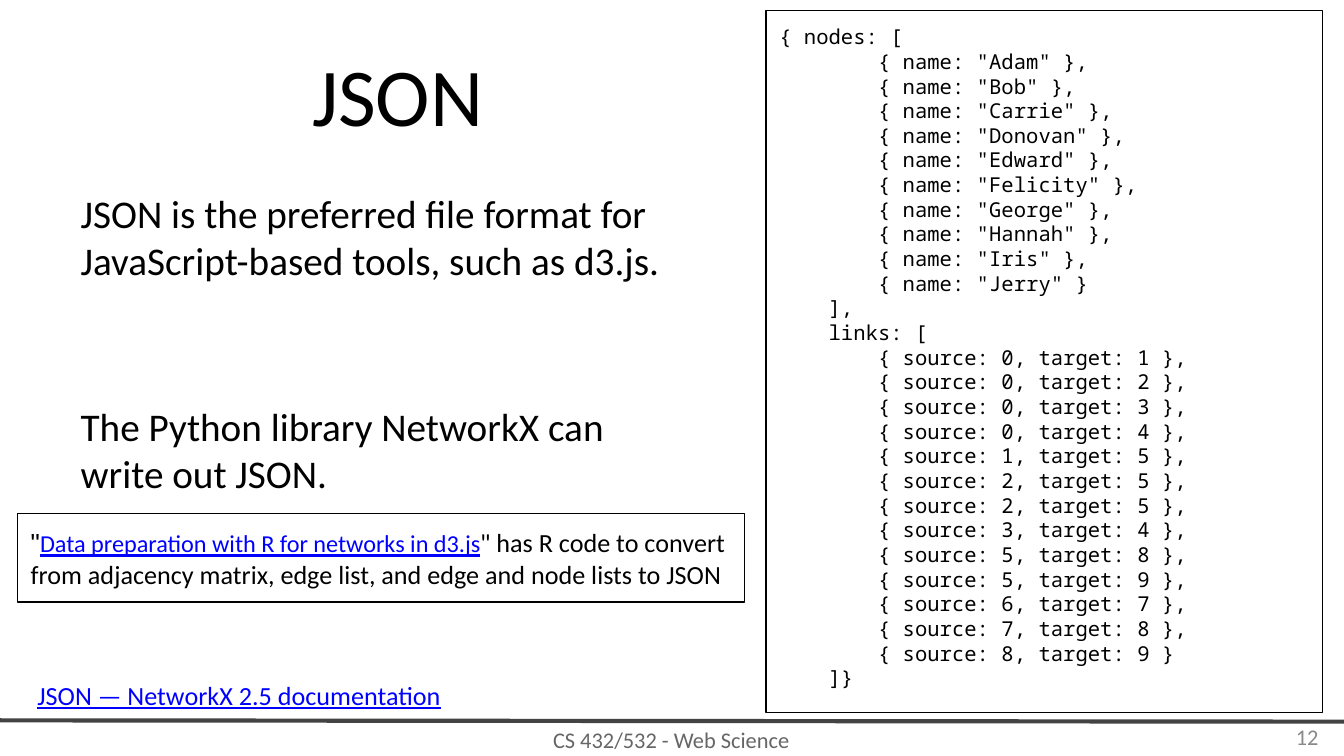
from pptx import Presentation
from pptx.dml.color import RGBColor
from pptx.enum.shapes import MSO_CONNECTOR, MSO_SHAPE
from pptx.enum.text import MSO_ANCHOR as Anchor, MSO_AUTO_SIZE as AutoSize, PP_ALIGN as Align
from pptx.oxml.ns import qn
from pptx.util import Inches, Pt
from lxml import etree

COLORS = {
    "white": "FFFFFF",
    "black": "000000",
    "link": "0000FF",
    "rule": "434343",
    "footer": "666666",
    "number": "898989",
}
NAMES = ["Adam", "Bob", "Carrie", "Donovan", "Edward",
         "Felicity", "George", "Hannah", "Iris", "Jerry"]
LINKS = [(0, 1), (0, 2), (0, 3), (0, 4), (1, 5), (2, 5), (2, 5),
         (3, 4), (5, 8), (5, 9), (6, 7), (7, 8), (8, 9)]


def set_frame(shape, anchor, vertical_inset=0.1):
    """Apply the common text frame settings and return the frame."""
    frame = shape.text_frame
    frame.auto_size = AutoSize.NONE
    frame.word_wrap = True
    frame.vertical_anchor = anchor
    frame.margin_left = frame.margin_right = Inches(0.1)
    frame.margin_top = frame.margin_bottom = Inches(vertical_inset)
    return frame


def add_run(paragraph, text, size, color="black", font="Calibri", underline=False):
    run = paragraph.add_run()
    run.text = text
    run.font.size = Pt(size)
    run.font.name = font
    run.font.underline = underline
    run.font.color.rgb = RGBColor.from_string(COLORS[color])


# Widescreen slide, 16:9
presentation = Presentation()
presentation.slide_width = Inches(10)
presentation.slide_height = Inches(10) * 9 // 16
slide = presentation.slides.add_slide(presentation.slide_layouts[1])
shapes = slide.shapes

# Title
title = shapes.title
title.left, title.top = Inches(0.5), Inches(0.23)
title.width, title.height = Inches(4.92), Inches(0.94)
paragraph = set_frame(title, Anchor.MIDDLE).paragraphs[0]
paragraph.alignment = Align.CENTER
add_run(paragraph, "JSON", 44)

# Body text, two statements set well apart
body = slide.placeholders[1]
body.left, body.top = Inches(0.5), Inches(1.31)
body.width, body.height = Inches(4.53), Inches(2.11)
frame = set_frame(body, Anchor.TOP)
statements = [
    ("JSON is the preferred file format for JavaScript-based tools, such as d3.js.", 0),
    ("The Python library NetworkX can write out JSON.", 63.5),
]
for index, (text, space_before) in enumerate(statements):
    paragraph = frame.add_paragraph() if index else frame.paragraphs[0]
    properties = paragraph._p.get_or_add_pPr()
    properties.set("marL", "0")
    properties.set("indent", "0")
    etree.SubElement(properties, qn("a:buNone"))
    paragraph.space_before = Pt(space_before)
    add_run(paragraph, text, 21)

# Footer rule
rule = shapes.add_connector(MSO_CONNECTOR.STRAIGHT, Inches(0), Inches(5.36),
                            Inches(10), Inches(5.37))
rule.line.color.rgb = RGBColor.from_string(COLORS["rule"])
rule.line.width = Pt(2.25)
etree.SubElement(rule._element.spPr, qn("a:effectLst"))

# Single-line texts: documentation link, course name and page number
labels = [
    ("JSON — NetworkX 2.5 documentation", (0.18, 5.04, 9.33, 0.26),
     Align.LEFT, 14, "link", True, 0.1),
    ("CS 432/532 - Web Science", (1.82, 5.37, 6.35, 0.26),
     Align.CENTER, 12, "footer", False, 0.1),
    ("12", (7.58, 5.33, 2.33, 0.3), Align.RIGHT, 12, "number", False, 0.05),
]
for text, place, alignment, size, color, underline, inset in labels:
    box = shapes.add_textbox(*map(Inches, place))
    paragraph = set_frame(box, Anchor.MIDDLE, inset).paragraphs[0]
    paragraph.alignment = alignment
    add_run(paragraph, text, size, color, underline=underline)

# Outlined boxes for the code and the R note
code_box = shapes.add_shape(MSO_SHAPE.RECTANGLE, Inches(5.7), Inches(0.08),
                            Inches(4.14), Inches(5.22))
note_box = shapes.add_shape(MSO_SHAPE.RECTANGLE, Inches(0.13), Inches(3.82),
                            Inches(5.41), Inches(0.66))
for box in (code_box, note_box):
    box.shadow.inherit = False
    box.line.color.rgb = RGBColor.from_string(COLORS["black"])
    box.line.width = Pt(0.75)
code_box.fill.solid()
code_box.fill.fore_color.rgb = RGBColor.from_string(COLORS["white"])
note_box.fill.background()

# Code listing
node_rows = [f'        {{ name: "{name}" }}' for name in NAMES]
link_rows = [f"        {{ source: {source}, target: {target} }}" for source, target in LINKS]
code = "\n".join(["{ nodes: [", ",\n".join(node_rows), "    ],",
                  "    links: [", ",\n".join(link_rows), "    ]}"])
frame = set_frame(code_box, Anchor.TOP)
for index, line in enumerate(code.split("\n")):
    paragraph = frame.add_paragraph() if index else frame.paragraphs[0]
    paragraph.alignment = Align.LEFT
    paragraph.line_spacing = Pt(13.2)
    add_run(paragraph, line, 11, font="Noto Sans Mono")

# R note
paragraph = set_frame(note_box, Anchor.TOP).paragraphs[0]
paragraph.alignment = Align.LEFT
add_run(paragraph, '"', 14, font="Arial")
add_run(paragraph, "Data preparation with R for networks in d3.js", 13, "link", underline=True)
add_run(paragraph, '" has R code to convert from adjacency matrix, edge list, '
                   "and edge and node lists to JSON", 14)

presentation.save("out.pptx")
